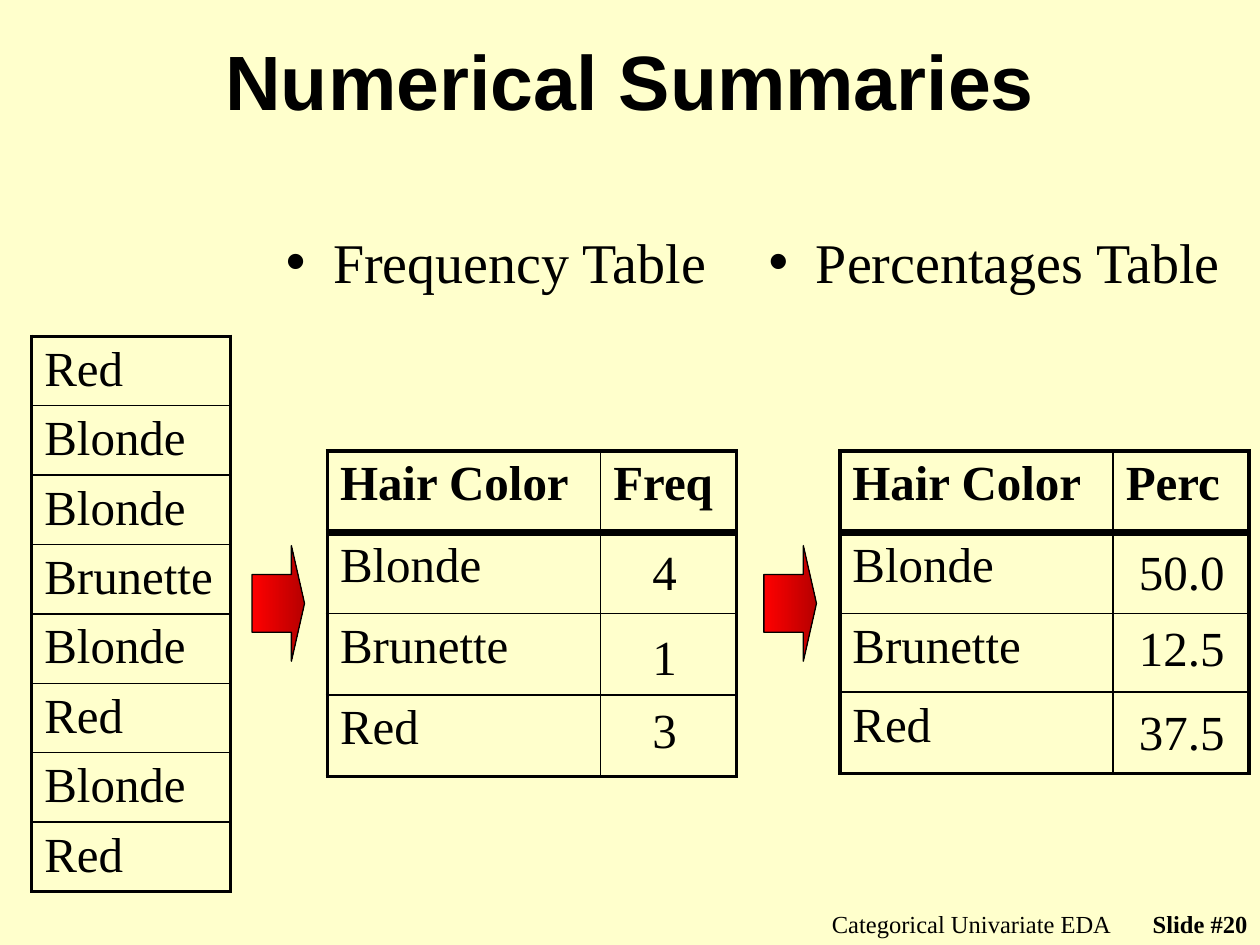
import pptx
import pptx.dml.color
import pptx.enum.shapes
import pptx.enum.text
import pptx.oxml
import pptx.oxml.ns
import pptx.util

Cm, Pt = pptx.util.Cm, pptx.util.Pt
ALIGN = pptx.enum.text.PP_ALIGN
ANCHOR = pptx.enum.text.MSO_ANCHOR
AUTO = pptx.enum.text.MSO_AUTO_SIZE

COLORS = {"paper": "FFFFCC", "ink": "000000", "red": "FF0000", "dark_red": "B60000"}
THIN, OUTER, HEADER = 1, 2.25, 4.5

HAIR_COLORS = ["Red", "Blonde", "Blonde", "Brunette", "Blonde", "Red", "Blonde", "Red"]
GROUPS = ["Blonde", "Brunette", "Red"]


def rgb(name):
    return pptx.dml.color.RGBColor.from_string(COLORS[name])


class SlideBuilder:
    """Holds the text style and the slide being filled."""

    serif, sans = "Times New Roman", "Arial"

    def __init__(self, prs, layout):
        self.s = prs.slides.add_slide(layout)
        fill = self.s.background.fill
        fill.solid()
        fill.fore_color.rgb = rgb("paper")

    def set_text(self, tf, text, size, font=None, bold=False, align=ALIGN.LEFT):
        tf.text = text
        p = tf.paragraphs[0]
        p.alignment = align
        p.space_before = Pt(0)
        for r in p.runs:
            r.font.name = font or self.serif
            r.font.size = Pt(size)
            r.font.bold = bold
            r.font.color.rgb = rgb("ink")

    def placeholder(self, idx, text, box, size, anchor=ANCHOR.TOP, **style):
        sp = self.s.placeholders[idx]
        sp.left, sp.top, sp.width, sp.height = map(Cm, box)
        tf = sp.text_frame
        tf.auto_size = AUTO.NONE
        tf.vertical_anchor = anchor
        self.set_text(tf, text, size, **style)

    def text(self, text, box, size, wrap=True, **style):
        tf = self.s.shapes.add_textbox(*map(Cm, box)).text_frame
        tf.word_wrap = wrap
        tf.auto_size = AUTO.NONE if wrap else AUTO.SHAPE_TO_FIT_TEXT
        self.set_text(tf, text, size, **style)

    def borders(self, cell, widths):
        """Draw the left, right, top and bottom lines of a cell."""
        tcPr = cell._tc.get_or_add_tcPr()
        for side, width in zip("LRTB", widths):
            tcPr.append(pptx.oxml.parse_xml(
                f'<a:ln{side} {pptx.oxml.ns.nsdecls("a")} w="{Pt(width)}"><a:solidFill>'
                f'<a:srgbClr val="{COLORS["ink"]}"/></a:solidFill></a:ln{side}>'))

    def table(self, rows, left, top, col_widths, row_heights, header=False):
        n_rows, n_cols = len(rows), len(col_widths)
        table = self.s.shapes.add_table(
            n_rows, n_cols, Cm(left), Cm(top),
            Cm(sum(col_widths)), Cm(sum(row_heights))).table
        table.first_row = table.horz_banding = False
        for column, width in zip(table.columns, col_widths):
            column.width = Cm(width)
        for row, height in zip(table.rows, row_heights):
            row.height = Cm(height)

        rules = [OUTER] + [THIN] * (n_rows - 1) + [OUTER]
        if header:
            rules[1] = HEADER
        for i, texts in enumerate(rows):
            for j, text in enumerate(texts):
                cell = table.cell(i, j)
                self.set_text(cell.text_frame, text, 28, bold=header and i == 0)
                self.borders(cell, (OUTER if j == 0 else THIN,
                                    OUTER if j == n_cols - 1 else THIN,
                                    rules[i], rules[i + 1]))
                cell.fill.background()

    def arrow(self, left, top, width, height):
        sp = self.s.shapes.add_shape(
            pptx.enum.shapes.MSO_SHAPE.RIGHT_ARROW, *map(Cm, (left, top, width, height)))
        sp.shadow.inherit = False
        sp.adjustments[0], sp.adjustments[1] = 0.5, 0.25
        sp.fill.gradient()
        sp.fill.gradient_angle = 0
        for stop, position, color in zip(sp.fill.gradient_stops, (0, 1), ("red", "dark_red")):
            stop.position = position
            stop.color.rgb = rgb(color)
        sp.line.color.rgb = rgb("ink")
        sp.line.width = Pt(0.75)

    def summary(self, heading, left, row_heights, values, value_left, value_width):
        """Add a table by hair colour with its values laid over the second column."""
        rows = [["Hair Color", heading]] + [[group, ""] for group in GROUPS]
        self.table(rows, left, 9.09, (5.51, 2.74), row_heights, header=True)
        for value, top in values:
            self.text(value, (value_left, top, value_width, 1.45), 28, wrap=False)


def main():
    prs = pptx.Presentation()
    prs.slide_width, prs.slide_height = Cm(25.4), Cm(19.05)
    slide = SlideBuilder(prs, prs.slide_layouts.get_by_name("Two Content"))

    slide.placeholder(0, "Numerical Summaries", (1.91, 0.43, 21.59, 2.34), 44,
                      anchor=ANCHOR.MIDDLE, font=slide.sans, bold=True, align=ALIGN.CENTER)
    slide.placeholder(1, "Frequency Table", (5.51, 4.45, 9.09, 1.7), 32)
    slide.placeholder(2, "Percentages Table", (15.24, 4.45, 9.96, 1.7), 32)

    slide.table([[color] for color in HAIR_COLORS], 0.64, 6.78, [4.01],
                [1.4] * len(HAIR_COLORS))
    slide.summary("Freq", 6.6, [1.64] * 4,
                  [("4", 10.8), ("1", 12.5), ("3", 13.97)], 12.9, 1.02)
    slide.summary("Perc", 16.93, [1.64, 1.64, 1.58, 1.64],
                  [("50.0", 10.8), ("12.5", 12.32), ("37.5", 14.02)], 22.71, 2.26)
    for left in (5.08, 15.4):
        slide.arrow(left, 11, 1.06, 2.33)

    slide.text("Categorical Univariate EDA", (14.61, 18.21, 8.05, 0.64), 14, align=ALIGN.RIGHT)
    slide.text("Slide #20", (22.66, 18.21, 2.74, 0.64), 14, bold=True, align=ALIGN.RIGHT)

    prs.save("out.pptx")


if __name__ == "__main__":
    main()
